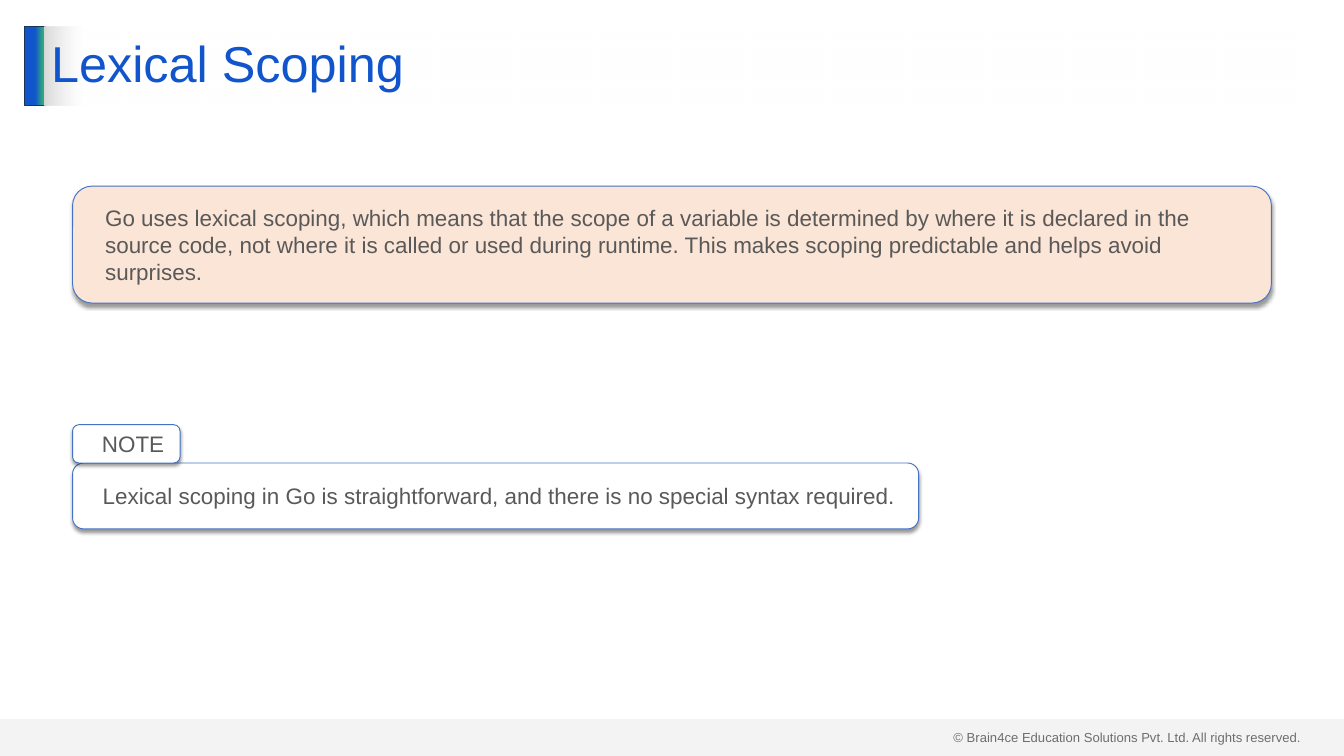
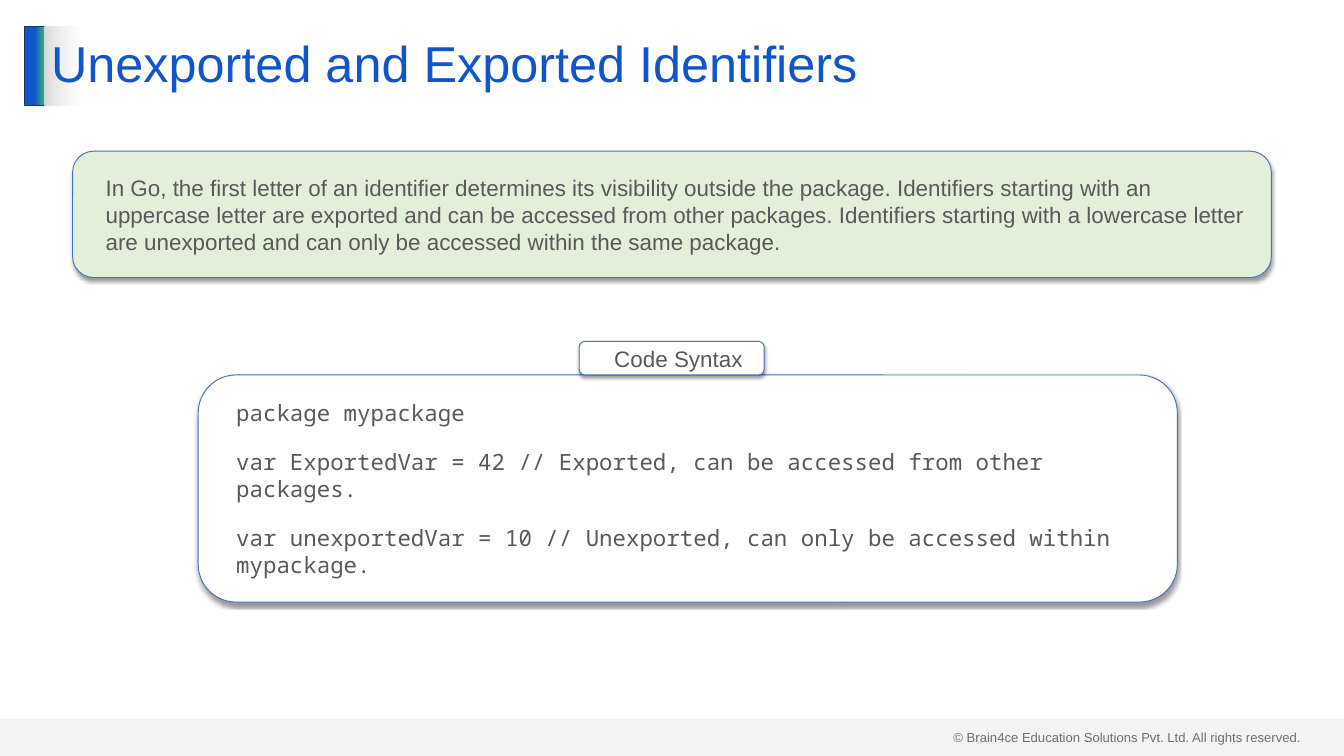
from pptx import Presentation
from pptx.dml.color import RGBColor
from pptx.enum.shapes import MSO_SHAPE
from pptx.enum.text import MSO_ANCHOR, MSO_AUTO_SIZE, PP_ALIGN
from pptx.oxml import parse_xml
from pptx.oxml.ns import nsdecls, qn
from pptx.util import Inches, Pt

COLUMNS, ROWS = 20, 11.25
CELL = Inches(1)
BLUE, GREEN, NAVY, EDGE = "1155CC", "2EA87D", "1E3256", "4472C4"
WHITE, SILVER, PEACH, MINT = "FFFFFF", "D9D9D9", "FBE5D6", "E2F0D9"
BODY_GREY, FOOTER_GREY = "595959", "404040"
SANS, MONO = "Arial", "Noto Sans Mono"
MARGIN = 1.08
TITLE_BOX = (0.66, 0.39, 18.67, 1.18)


def place(box):
    """Turn grid columns and rows into slide lengths."""
    return [round(cells * CELL) for cells in box]


def paint(color_format, color):
    """Apply a hex colour to a fill or a font colour."""
    if hasattr(color_format, "solid"):
        color_format.solid()
        color_format = color_format.fore_color
    color_format.rgb = RGBColor.from_string(color)


def outline(shape, color):
    """Give a shape a one-point outline."""
    paint(shape.line.fill, color)
    shape.line.width = Pt(1)


def blend(shape, stops):
    """Fill a shape from left to right with (position, colour, opacity) stops."""
    stop_xml = "".join(
        f'<a:gs pos="{position * 1000}"><a:srgbClr val="{color}">'
        f'<a:alpha val="{opacity * 1000}"/></a:srgbClr></a:gs>'
        for position, color, opacity in stops)
    gradient = parse_xml(
        f'<a:gradFill {nsdecls("a")} rotWithShape="1"><a:gsLst>{stop_xml}</a:gsLst>'
        '<a:lin ang="0" scaled="0"/></a:gradFill>')
    shape.fill.background()
    properties = shape.element.spPr
    properties.replace(properties.find(qn("a:noFill")), gradient)


def drop_shadow(shape):
    """Cast a soft shadow straight down."""
    shape.shadow.inherit = False
    shape.element.spPr.find(qn("a:effectLst")).append(parse_xml(
        f'<a:outerShdw {nsdecls("a")} blurRad="{Pt(4)}" dist="{Pt(3)}" dir="5400000" '
        'algn="t" rotWithShape="0"><a:srgbClr val="000000">'
        '<a:alpha val="40000"/></a:srgbClr></a:outerShdw>'))


def write(frame, *lines, size=24, font=SANS, color=BODY_GREY, align=PP_ALIGN.LEFT,
          anchor=MSO_ANCHOR.MIDDLE, indent=0, gap=0, spacing=None):
    """Write paragraphs with one format, spaced only between each other."""
    frame.word_wrap = True
    frame.auto_size = MSO_AUTO_SIZE.NONE
    frame.vertical_anchor = anchor
    for index, line in enumerate(lines):
        paragraph = frame.paragraphs[0] if index == 0 else frame.add_paragraph()
        if indent:
            properties = paragraph._p.get_or_add_pPr()
            properties.set("marL", str(Inches(indent)))
            properties.set("indent", "0")
        paragraph.alignment = align
        paragraph.space_before = Pt(gap if index else 0)
        paragraph.space_after = Pt(gap if index < len(lines) - 1 else 0)
        if spacing:
            paragraph.line_spacing = spacing
        run = paragraph.add_run()
        run.text = line
        run.font.size, run.font.name = Pt(size), font
        paint(run.font.color, color)


def add_frame(slide, layout):
    """Put the footer and the title accent on the layout shared by all slides."""
    copyright_line = slide.shapes.add_textbox(*place((14.09, 10.8, 5.41, 0.34)))
    write(copyright_line.text_frame,
          "© Brain4ce Education Solutions Pvt. Ltd. All rights reserved.",
          size=14, color=FOOTER_GREY, anchor=MSO_ANCHOR.TOP)

    left, top, _, height = TITLE_BOX
    accent = slide.shapes.add_shape(
        MSO_SHAPE.RECTANGLE, *place((left - 0.29, top, 0.3, height)))
    blend(accent, [(51, BLUE, 100), (90, GREEN, 100), (100, GREEN, 100)])
    outline(accent, NAVY)
    accent.shadow.inherit = False

    band = slide.shapes.add_shape(
        MSO_SHAPE.RECTANGLE, *place((0, ROWS - 0.55, COLUMNS, 0.55)))
    blend(band, [(0, SILVER, 29), (100, SILVER, 29)])
    band.line.fill.background()
    band.shadow.inherit = False

    for part in (copyright_line, accent, band):
        layout.shapes.element.append(part.element)


def add_title(slide, text):
    """Format the title placeholder over its fading background."""
    title = slide.shapes.title
    title.left, title.top, title.width, title.height = place(TITLE_BOX)
    blend(title, [(0, SILVER, 100), (3, WHITE, 50)])
    write(title.text_frame, text, size=54, color=BLUE, spacing=0.9)


def add_panel(slide, box, *lines, fill=WHITE, **text_format):
    """Draw a rounded, shadowed panel holding text."""
    panel = slide.shapes.add_shape(MSO_SHAPE.ROUNDED_RECTANGLE, *place(box))
    paint(panel.fill, fill)
    outline(panel, EDGE)
    drop_shadow(panel)
    frame = panel.text_frame
    frame.margin_left = frame.margin_right = Inches(0.2)
    frame.margin_top = frame.margin_bottom = Inches(0.1)
    write(frame, *lines, indent=0.2, gap=12, **text_format)


def add_tabbed_panel(slide, box, tab, label, *lines, **text_format):
    """Draw a panel with a label tab (offset, width, height) on its top edge."""
    left, top, _, _ = box
    offset, tab_width, tab_height = tab
    add_panel(slide, box, *lines, **text_format)
    add_panel(slide, (left + offset, top - tab_height, tab_width, tab_height), label,
              align=PP_ALIGN.CENTER)


def add_topic(slide, title, summary, top, height, fill):
    """Add the title and the full-width summary panel of a topic slide."""
    add_title(slide, title)
    add_panel(slide, (MARGIN, top, COLUMNS - 2 * MARGIN, height), summary, fill=fill)


def build_scoping(slide):
    """Explain lexical scoping, with a note."""
    add_topic(
        slide, "Lexical Scoping",
        "Go uses lexical scoping, which means that the scope of a variable is determined "
        "by where it is declared in the source code, not where it is called or used during "
        "runtime. This makes scoping predictable and helps avoid surprises.",
        top=2.77, height=1.74, fill=PEACH)
    add_tabbed_panel(
        slide, (MARGIN, 6.89, 12.59, 0.98), (0, 1.6, 0.57), "NOTE",
        "Lexical scoping in Go is straightforward, and there is no special syntax required.")


def build_identifiers(slide):
    """Explain identifier visibility, with a code sample."""
    add_topic(
        slide, "Unexported and Exported Identifiers",
        "In Go, the first letter of an identifier determines its visibility outside the "
        "package. Identifiers starting with an uppercase letter are exported and can be "
        "accessed from other packages. Identifiers starting with a lowercase letter are "
        "unexported and can only be accessed within the same package.",
        top=2.25, height=1.88, fill=MINT)
    add_tabbed_panel(
        slide, (2.95, 5.58, 14.57, 3.38), (5.67, 2.75, 0.5), "Code Syntax",
        "package mypackage",
        "var ExportedVar = 42 // Exported, can be accessed from other packages.",
        "var unexportedVar = 10 // Unexported, can only be accessed within mypackage.",
        font=MONO)


def main():
    """Build the deck and save it."""
    deck = Presentation()
    deck.slide_width, deck.slide_height = place((COLUMNS, ROWS))
    layout = deck.slide_layouts.get_by_name("Title Only")
    slides = [deck.slides.add_slide(layout) for _ in range(2)]
    add_frame(slides[0], layout)
    build_scoping(slides[0])
    build_identifiers(slides[1])
    deck.save("out.pptx")


if __name__ == "__main__":
    main()
